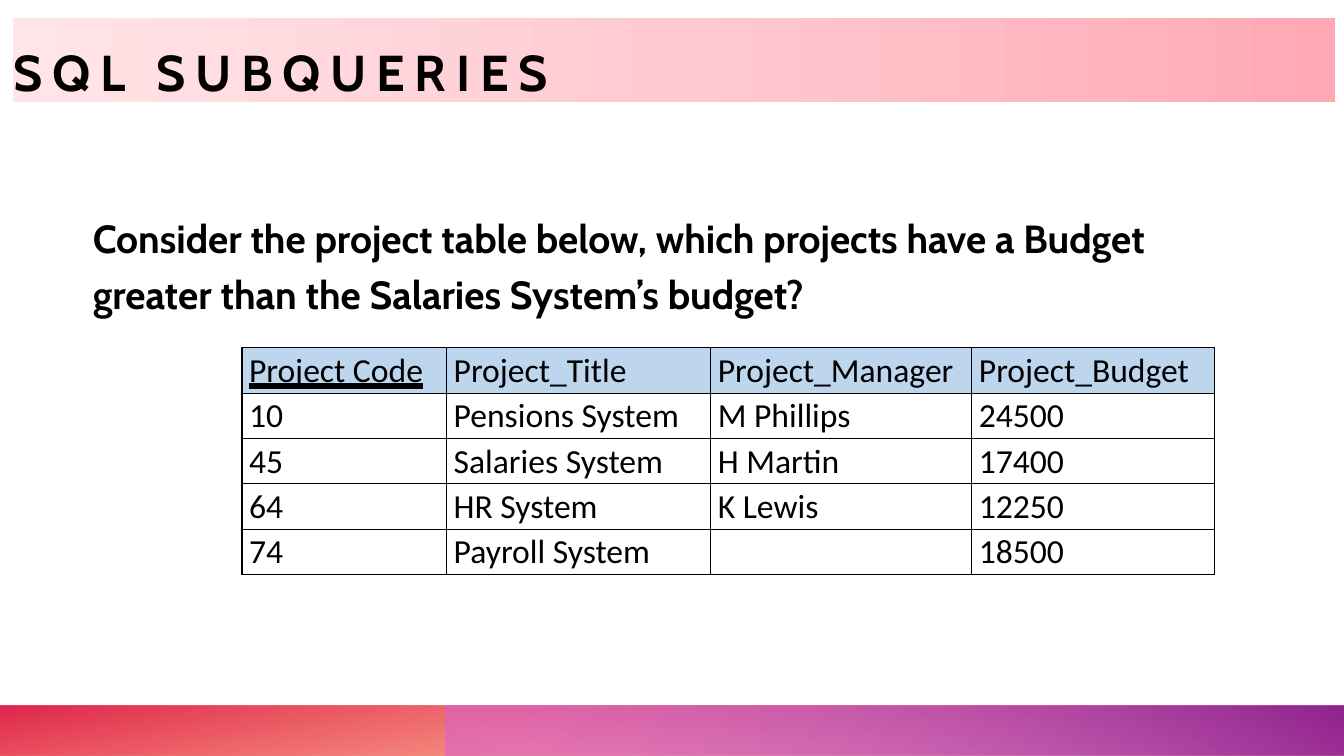
from dataclasses import dataclass

from pptx import Presentation
from pptx.dml.color import RGBColor as RGB
from pptx.enum.shapes import MSO_SHAPE as Shape
from pptx.enum.text import MSO_ANCHOR as Anchor, MSO_AUTO_SIZE as AutoSize
from pptx.enum.text import MSO_UNDERLINE as Underline, PP_ALIGN as Align
from pptx.oxml import parse_xml
from pptx.oxml.ns import nsdecls, qn
from pptx.util import Inches, Pt

# Content
TITLE = "SQL SUBQUERIES"
QUESTION = ("Consider the project table below, which projects have a Budget "
            "greater than the Salaries System’s budget?")
PROJECTS = [
    ("Project Code", "Project_Title", "Project_Manager", "Project_Budget"),
    ("10", "Pensions System", "M Phillips", "24500"),
    ("45", "Salaries System", "H Martin", "17400"),
    ("64", "HR System", "K Lewis", "12250"),
    ("74", "Payroll System", "", "18500"),
]
COLUMN_WIDTHS = (2.03, 2.62, 2.59, 2.41)
ROW_HEIGHT = 0.45
SLIDE_W, SLIDE_H = 13.33, 7.5
FOOTER_H = 0.5
ACCENT_LEFT = 4.42


@dataclass(frozen=True)
class Theme:
    heading_font: str = "Cabin"
    table_font: str = "Calibri"
    title_size: int = 36
    body_size: int = 28
    table_size: int = 24
    text: str = "000000"
    header: str = "BDD6EE"
    # Gradient stops: position %, colour, opacity %
    red: tuple = ((14, "FE4A00", 28), (100, "DA002F", 85))
    purple: tuple = ((9, "D861D4", 55), (99, "92248E", 100))
    pink: tuple = ((0, "FFA9B4", 100), (50, "FFCAD1", 100), (100, "FFE5E8", 100))


T = Theme()


def place(sp, left, top, width, height):
    sp.left, sp.top, sp.width, sp.height = map(Inches, (left, top, width, height))


def set_gradient(sp, stops, angle):
    gs = "".join(
        f'<a:gs pos="{pos * 1000}"><a:srgbClr val="{color}">'
        f'<a:alpha val="{alpha * 1000}"/></a:srgbClr></a:gs>'
        for pos, color, alpha in stops)
    sp.fill.gradient()
    sp_pr = sp._element.spPr
    sp_pr.replace(sp_pr.find(qn("a:gradFill")), parse_xml(
        f'<a:gradFill {nsdecls("a")} rotWithShape="1"><a:gsLst>{gs}</a:gsLst>'
        f'<a:lin ang="{angle * 60000}" scaled="0"/></a:gradFill>'))


def set_font(p, name, size, bold=False):
    p.font.name, p.font.size, p.font.bold = name, Pt(size), bold
    p.font.color.rgb = RGB.from_string(T.text)


def fill_placeholder(sp, text, size, anchor):
    tf = sp.text_frame
    tf.text = text
    tf.word_wrap, tf.auto_size, tf.vertical_anchor = True, AutoSize.NONE, anchor
    tf.margin_left = tf.margin_right = tf.margin_top = tf.margin_bottom = 0
    p = tf.paragraphs[0]
    p.alignment = Align.LEFT
    set_font(p, T.heading_font, size, bold=True)
    return p


def set_borders(cell):
    tc_pr = cell._tc.get_or_add_tcPr()
    for side in "LRTB":
        tc_pr.append(parse_xml(
            f'<a:ln{side} {nsdecls("a")} w="12700"><a:solidFill>'
            f'<a:srgbClr val="{T.text}"/></a:solidFill></a:ln{side}>'))


def add_footer_bar(s, left, stops, angle, rotation=0):
    sp = s.shapes.add_shape(Shape.RECTANGLE, Inches(left), Inches(SLIDE_H - FOOTER_H),
                            Inches(SLIDE_W - left), Inches(FOOTER_H))
    sp.shadow.inherit = False
    sp.line.fill.background()
    sp.rotation = rotation
    sp._element.spPr.find(qn("a:xfrm")).set("flipH", "1")
    set_gradient(sp, stops, angle)


def add_project_table(s, left, top):
    frame = s.shapes.add_table(len(PROJECTS), len(COLUMN_WIDTHS), Inches(left), Inches(top),
                               Inches(sum(COLUMN_WIDTHS)), Inches(ROW_HEIGHT * len(PROJECTS)))
    table = frame.table
    table.first_row = table.horz_banding = False
    for column, width in zip(table.columns, COLUMN_WIDTHS):
        column.width = Inches(width)
    for r, values in enumerate(PROJECTS):
        table.rows[r].height = Inches(ROW_HEIGHT)
        for c, value in enumerate(values):
            cell = table.cell(r, c)
            cell.margin_left = cell.margin_right = Inches(0.07)
            cell.margin_top = cell.margin_bottom = 0
            set_borders(cell)
            if r == 0:
                cell.fill.solid()
                cell.fill.fore_color.rgb = RGB.from_string(T.header)
            else:
                cell.fill.background()
            cell.text = value
            p = cell.text_frame.paragraphs[0]
            p.line_spacing = 1.07
            set_font(p, T.table_font, T.table_size)
    # The key column's heading is underlined
    table.cell(0, 0).text_frame.paragraphs[0].font.underline = Underline.HEAVY_LINE


def main():
    prs = Presentation()
    prs.slide_width, prs.slide_height = Inches(SLIDE_W), Inches(SLIDE_H)
    s = prs.slides.add_slide(prs.slide_layouts[1])

    # Footer bars
    add_footer_bar(s, 0, T.red, 100, rotation=180)
    add_footer_bar(s, ACCENT_LEFT, T.purple, 240)

    # Title band
    title = s.shapes.title
    place(title, 0.13, 0.18, 13.11, 0.83)
    set_gradient(title, T.pink, 180)
    p = fill_placeholder(title, TITLE, T.title_size, Anchor.BOTTOM)
    p.runs[0].font._element.set("spc", "700")

    # Question
    body = s.placeholders[1]
    place(body, 0.92, 2.03, 11.5, 1.31)
    p = fill_placeholder(body, QUESTION, T.body_size, Anchor.TOP)
    p.line_spacing, p.space_before = 1.2, Pt(10)
    p_pr = p._p.get_or_add_pPr()
    p_pr.set("marL", "0")
    p_pr.set("indent", "0")
    p_pr.find(qn("a:defRPr")).addprevious(parse_xml(f'<a:buNone {nsdecls("a")}/>'))

    # Project table
    add_project_table(s, 2.4, 3.45)

    prs.save("out.pptx")


if __name__ == "__main__":
    main()
